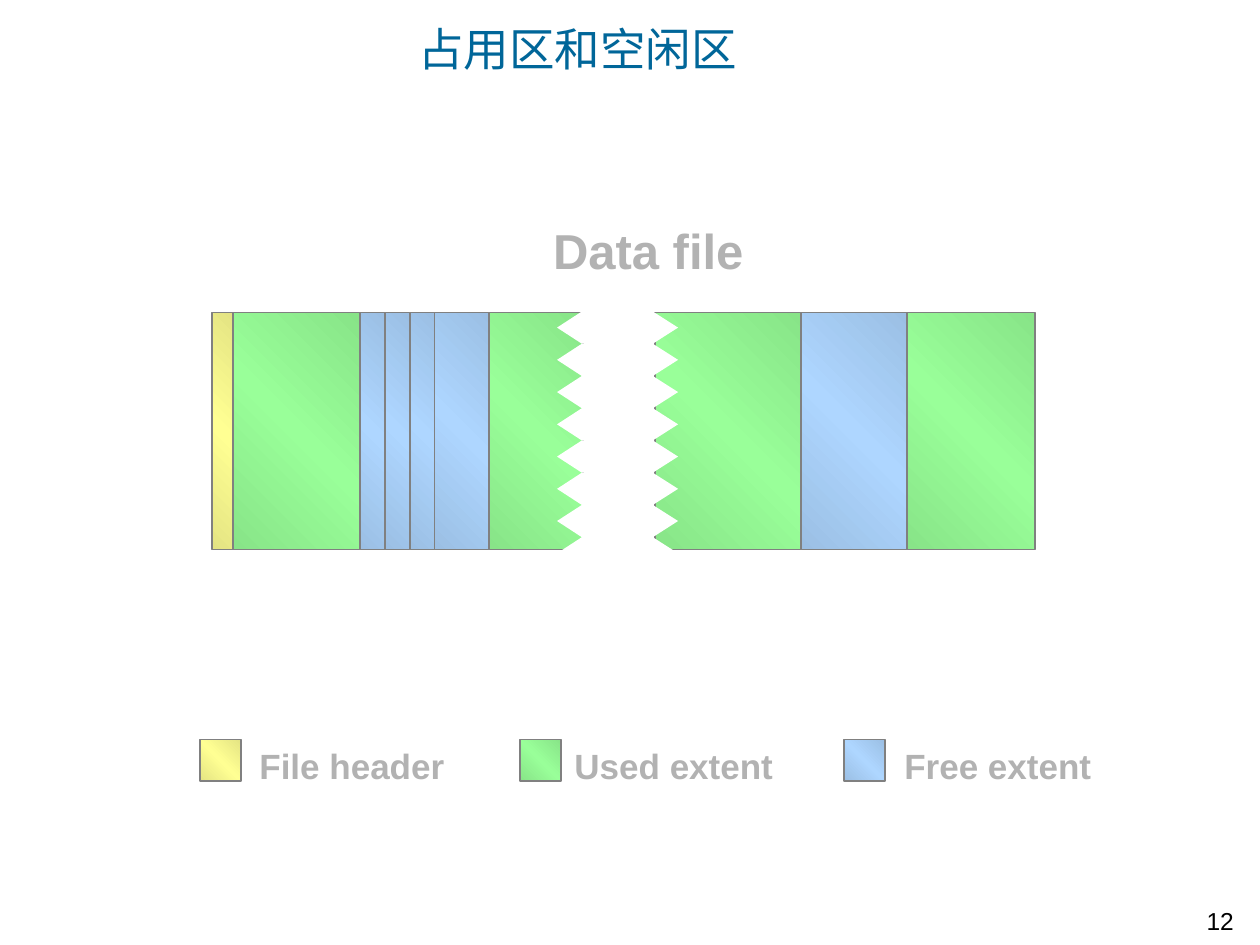
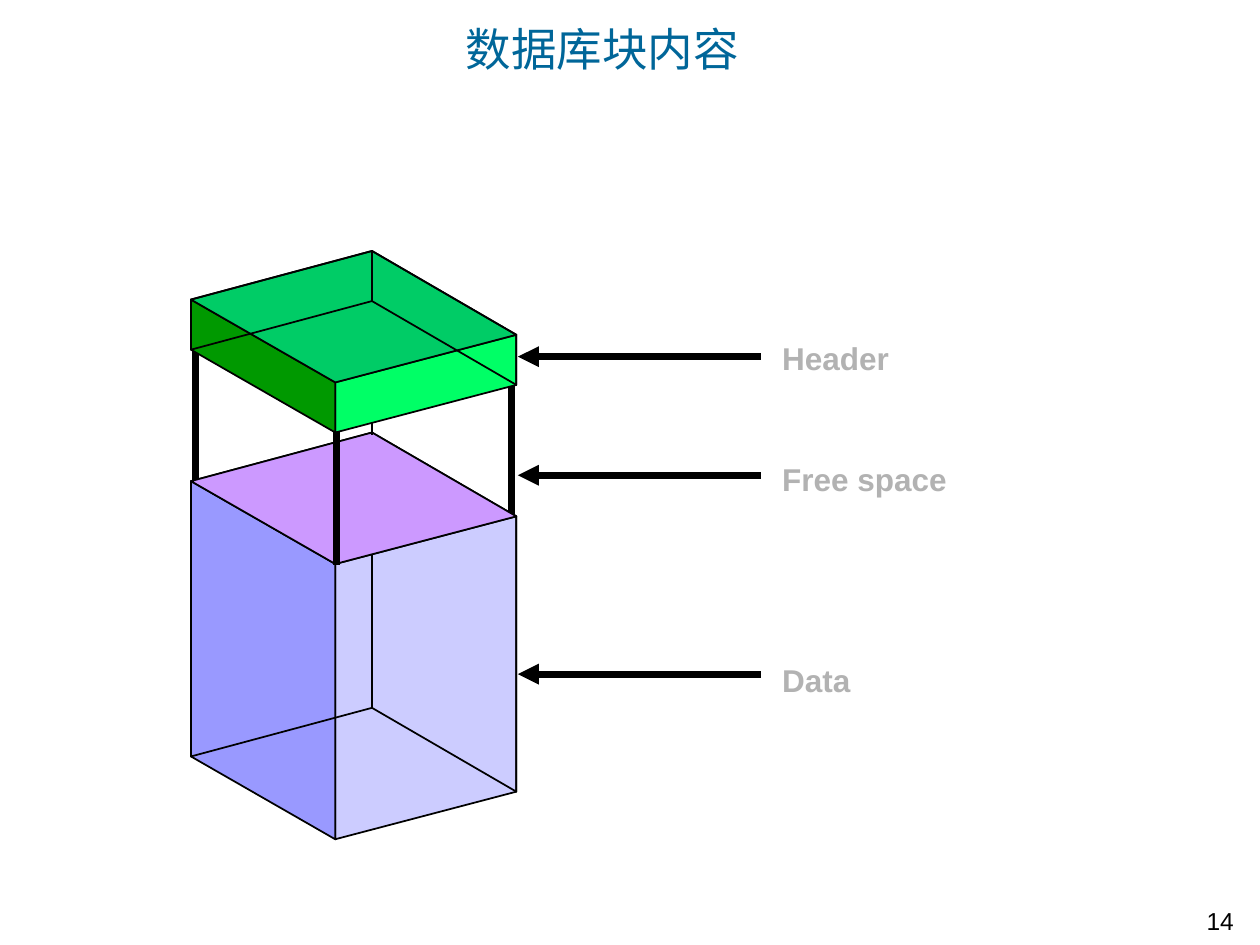
"""Two slides on database storage: extents in a data file, and the parts of a block."""
from copy import deepcopy

from lxml import etree
from pptx import Presentation
from pptx.dml.color import RGBColor
from pptx.enum.shapes import MSO_CONNECTOR, MSO_SHAPE
from pptx.enum.text import MSO_ANCHOR, PP_ALIGN
from pptx.oxml.ns import qn
from pptx.util import Cm, Pt

RECT, STRAIGHT = MSO_SHAPE.RECTANGLE, MSO_CONNECTOR.STRAIGHT
MIDDLE, TOP = MSO_ANCHOR.MIDDLE, MSO_ANCHOR.TOP
LEFT, CENTER = PP_ALIGN.LEFT, PP_ALIGN.CENTER

FONT = "Arial"
WHITE, BLACK, GREY, LABEL, TITLE = "FFFFFF", "000000", "808080", "B2B2B2", "006699"
GRADIENTS = {
    "header": ("E4E483", "FFFF93"),
    "used": ("88E488", "99FF99"),
    "free": ("9BBFE4", "AED6FF"),
}

FILE_TOP, FILE_HEIGHT = 6.3, 4.78
FILE_PARTS = [
    (4.27, [("header", 0.43), ("used", 2.56), ("free", 0.5), ("free", 0.5),
            ("free", 0.5), ("free", 1.1), ("used", 1.9)]),
    (13.2, [("used", 2.95), ("free", 2.14), ("used", 2.57)]),
]
TEETH, TOOTH_HEIGHT, TEETH_TOP = 8, 0.65, 6.28
TORN_EDGES = [(11.73, 11.23, 11.73), (13.16, 13.67, 13.01)]
LEGEND = [
    ("header", "File header", 4.04, 4.98, 4.24),
    ("used", "Used extent", 10.49, 11.33, 4.52),
    ("free", "Free extent", 17.02, 17.98, 4.29),
]

CORNERS = {"left": (3.85, 0.98), "back": (7.5, 0), "right": (10.41, 1.69), "front": (6.76, 2.65)}
HEADER_TOP, HEADER_BOTTOM, DATA_TOP, DATA_BOTTOM = 5.06, 6.07, 8.72, 14.27
DATA_FACES = [("right front", "CCCCFF"), ("left front", "9999FF"), ("back right", None),
              ("back left", None), ("left back right front", "CC99FF")]
HEADER_FACES = [("right front", "00FF66"), ("left front", "009900"),
                ("left back right front", "00CC66"), ("back right", None), ("back left", None)]
SIDE_POSTS = [(3.94, 7.01, 9.73), (10.31, 7.77, 10.39)]
FRONT_POST = (6.78, 8.66, 11.38)
BACK_EDGE = (7.5, 6.86, 8.76)
BLOCK_LABELS = [("Header", 7.19, 6.71), ("Free space", 9.58, 9.14), ("Data", 13.59, 13.21)]


def rgb(value):
    return RGBColor.from_string(value)


def add_text(s, text, box, size, color, bold=False, align=LEFT, anchor=TOP, indent=0):
    sp = s.shapes.add_textbox(*map(Cm, box))
    tf = sp.text_frame
    tf.text = text
    tf.word_wrap = True
    tf.vertical_anchor = anchor
    p = tf.paragraphs[0]
    p.alignment = align
    if indent:
        p._p.get_or_add_pPr().set("marL", str(Cm(indent)))
    font = p.runs[0].font
    font.name, font.size, font.bold = FONT, Pt(size), bold
    font.color.rgb = rgb(color)


def style(sp, fill=None, line=None):
    sp.shadow.inherit = False
    if fill:
        sp.fill.solid()
        sp.fill.fore_color.rgb = rgb(fill)
    else:
        sp.fill.background()
    if line:
        sp.line.color.rgb = rgb(line)
        sp.line.width = Pt(1)
    else:
        sp.line.fill.background()


def add_extent(s, kind, x, y, w, h):
    sp = s.shapes.add_shape(RECT, Cm(x), Cm(y), Cm(w), Cm(h))
    style(sp, line=GREY)
    sp.fill.gradient()
    sp.fill.gradient_angle = 225
    stop_list = sp._element.spPr.find(".//" + qn("a:gsLst"))
    stop_list.insert(1, deepcopy(stop_list[0]))
    edge, middle = GRADIENTS[kind]
    for stop, color, place in zip(sp.fill.gradient_stops, (edge, middle, edge), (0, 0.5, 1)):
        stop.color.rgb = rgb(color)
        stop.position = place


def add_polygon(shapes, points, fill=None, line=None):
    points = [(Cm(x), Cm(y)) for x, y in points]
    builder = shapes.build_freeform(*points[0])
    builder.add_line_segments(points[1:], close=True)
    style(builder.convert_to_shape(), fill, line)


def add_line(s, x1, y1, x2, y2, width=4, arrow=False):
    c = s.shapes.add_connector(STRAIGHT, Cm(x1), Cm(y1), Cm(x2), Cm(y2))
    c.line.color.rgb = rgb(BLACK)
    c.line.width = Pt(width)
    if arrow:
        etree.SubElement(c.line._get_or_add_ln(), qn("a:headEnd"), type="triangle")
    etree.SubElement(c._element.spPr, qn("a:effectLst"))


def add_torn_edge(s, spine, tip, cover):
    shapes = s.shapes.add_group_shape().shapes
    for i in range(TEETH):
        y = TEETH_TOP + i * TOOTH_HEIGHT
        strip = shapes.add_shape(RECT, Cm(cover), Cm(y), Cm(0.15), Cm(TOOTH_HEIGHT))
        style(strip, WHITE)
        add_polygon(shapes, [(spine, y), (tip, y + TOOTH_HEIGHT / 2), (spine, y + TOOTH_HEIGHT)], WHITE)


def add_prism(s, faces, top, bottom):
    shapes = s.shapes.add_group_shape().shapes
    for names, fill in faces:
        corners = [CORNERS[name] for name in names.split()]
        points = [(x, y + top) for x, y in corners]
        if len(corners) == 2:
            points += [(x, y + bottom) for x, y in reversed(corners)]
        add_polygon(shapes, points, fill, BLACK)


def new_slide(prs, title, indent, number):
    s = prs.slides.add_slide(prs.slide_layouts[6])
    add_text(s, number, (23.8, 18.14, 1.6, 0.86), 14, BLACK, align=CENTER)
    add_text(s, title, (3.81, 0.13, 21.59, 1.7), 26, TITLE, anchor=MIDDLE, indent=indent)
    return s


def build_extents(prs):
    s = new_slide(prs, "占用区和空闲区", 4.37, "12")
    add_text(s, "Data file", (10.9, 4.32, 4.6, 1.45), 28, LABEL, bold=True)
    for x, parts in FILE_PARTS:
        for kind, width in parts:
            add_extent(s, kind, x, FILE_TOP, width, FILE_HEIGHT)
            x += width
    for edge in TORN_EDGES:
        add_torn_edge(s, *edge)
    for kind, text, x, text_x, width in LEGEND:
        add_extent(s, kind, x, 14.91, 0.82, 0.84)
        add_text(s, text, (text_x, 14.88, width + 0.2, 1.09), 20, LABEL, bold=True)


def build_block(prs):
    s = new_slide(prs, "数据库块内容", 5.33, "14")
    for text, arrow_y, text_y in BLOCK_LABELS:
        add_line(s, 10.44, arrow_y, 15.34, arrow_y, arrow=True)
        add_text(s, text, (15.52, text_y, 4.2, 1.02), 18, LABEL, bold=True)
    for x, top, bottom in SIDE_POSTS:
        add_line(s, x, top, x, bottom)
    add_prism(s, DATA_FACES, DATA_TOP, DATA_BOTTOM)
    for (x, top, bottom), width in ((FRONT_POST, 4), (BACK_EDGE, 1)):
        add_line(s, x, top, x, bottom, width)
    add_prism(s, HEADER_FACES, HEADER_TOP, HEADER_BOTTOM)


def main():
    prs = Presentation()
    prs.slide_width, prs.slide_height = Cm(25.4), Cm(19.05)
    build_extents(prs)
    build_block(prs)
    prs.save("out.pptx")


if __name__ == "__main__":
    main()
